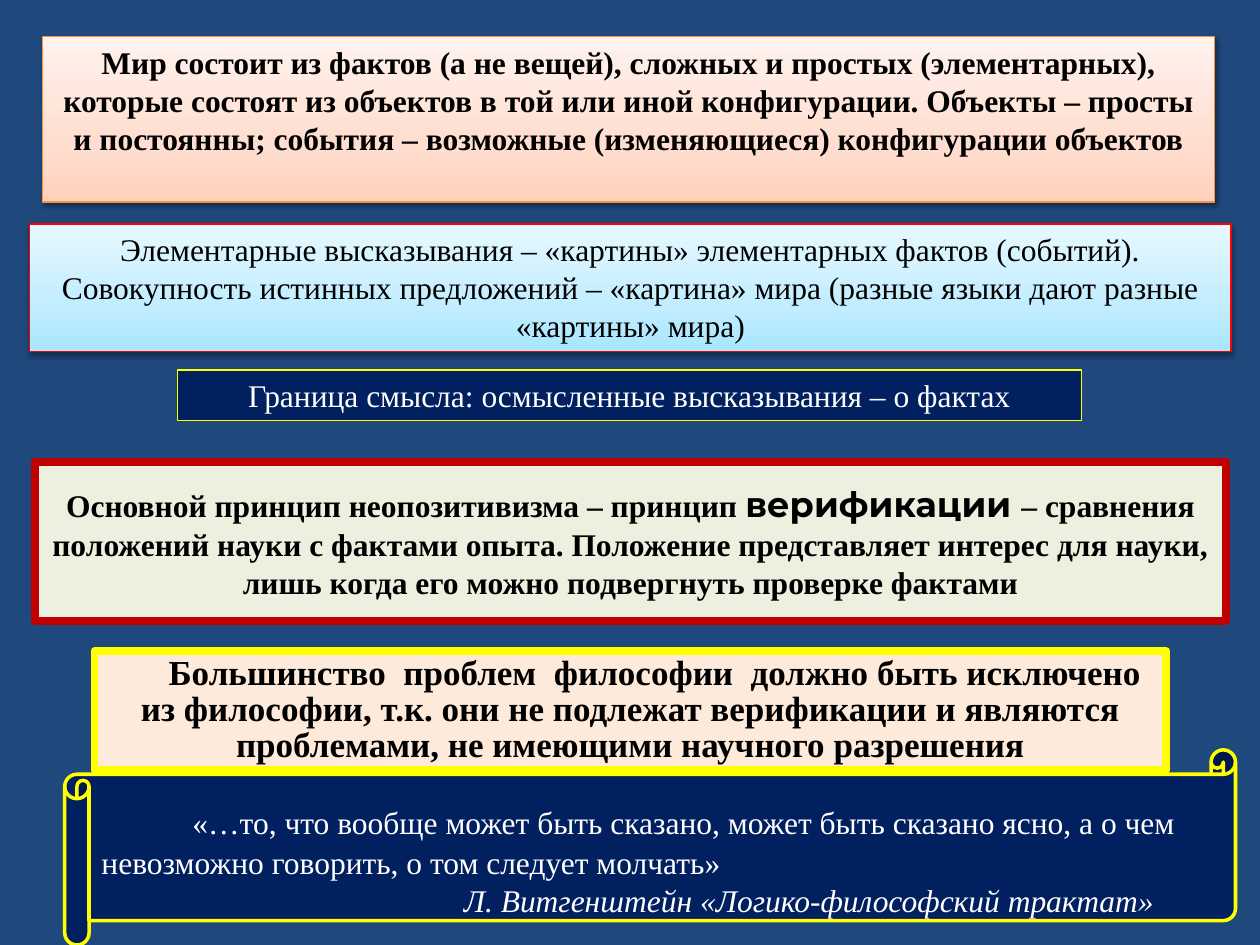
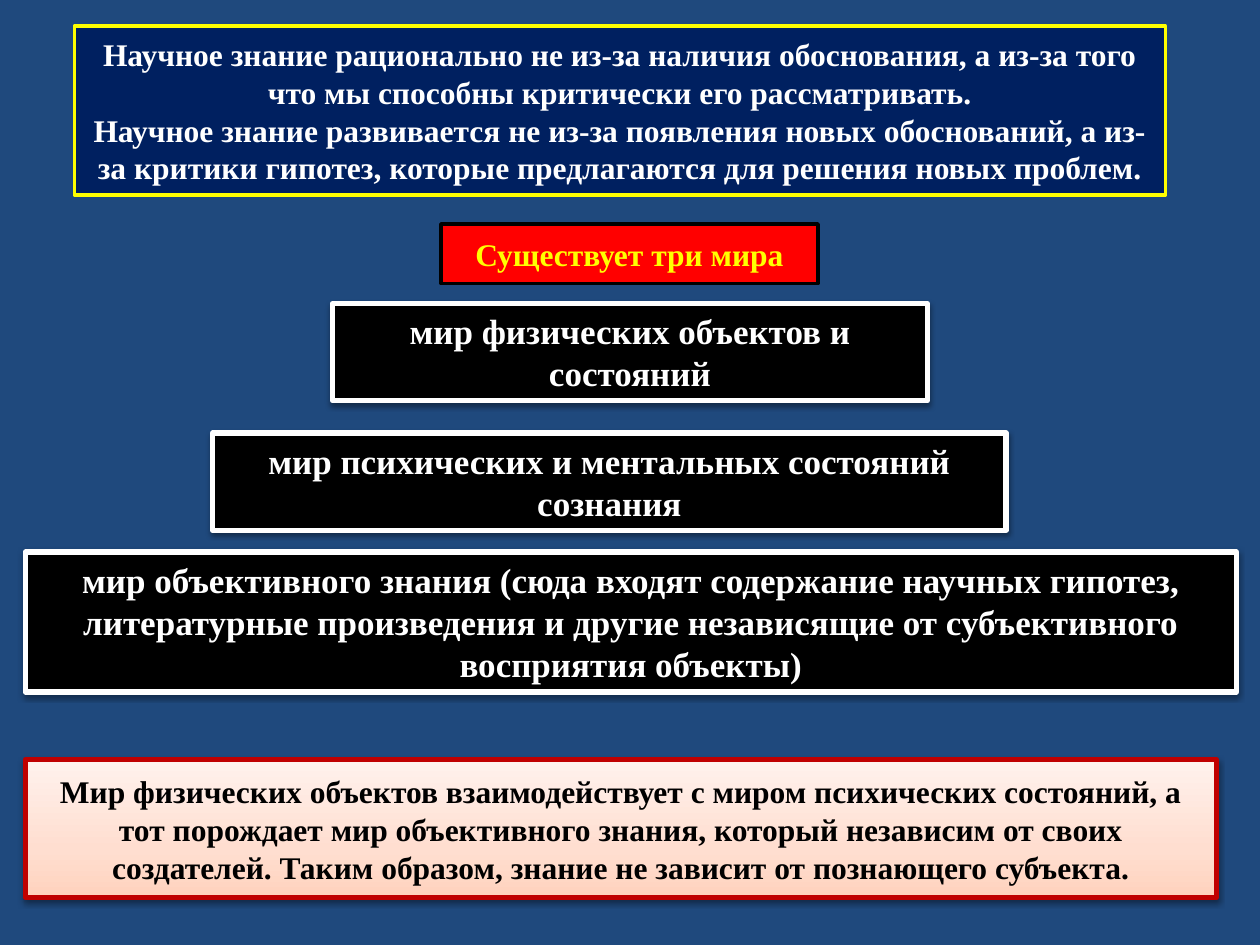
from collections import namedtuple

from lxml import etree
from pptx import Presentation
from pptx.dml.color import RGBColor
from pptx.enum.shapes import MSO_SHAPE as Preset
from pptx.enum.text import MSO_ANCHOR as Anchor, PP_ALIGN as Align
from pptx.oxml.ns import qn
from pptx.util import Pt

BACKDROP = RGBColor(0x1F, 0x49, 0x7D)
NAVY = RGBColor(0x00, 0x20, 0x60)
BLACK = RGBColor(0x00, 0x00, 0x00)
WHITE = RGBColor(0xFF, 0xFF, 0xFF)
YELLOW = RGBColor(0xFF, 0xFF, 0x00)
RED = RGBColor(0xFF, 0x00, 0x00)
CRIMSON = RGBColor(0xC0, 0x00, 0x00)
ORANGE = RGBColor(0xF6, 0x92, 0x40)
CREAM = RGBColor(0xFD, 0xEA, 0xDA)
PALE_GREEN = RGBColor(0xEB, 0xF1, 0xDE)
PEACH_FADE = (RGBColor(0xFF, 0xD2, 0xBD), RGBColor(0xFF, 0xDE, 0xD0), RGBColor(0xFF, 0xF2, 0xED))
SKY_FADE = (RGBColor(0xA7, 0xE6, 0xFF), RGBColor(0xC1, 0xED, 0xFF), RGBColor(0xE7, 0xF8, 0xFF))
FADE_STOPS = (0, 35, 100)

SERIF = "Times New Roman"
SANS = "Montserrat"
SLIDE_WIDTH, SLIDE_HEIGHT = 720, 540

Box = namedtuple("Box", "left top width height")


def child(parent, tag, **attributes):
    """Append an element with the given attributes to its parent."""
    return etree.SubElement(parent, qn(tag), {key: str(value) for key, value in attributes.items()})


def fade(shape, colors):
    """Fill a shape with three colours that run from its bottom to its top."""
    shape.fill.gradient()
    shape.fill.gradient_angle = 90
    stops = shape.element.spPr.find(qn("a:gradFill")).find(qn("a:gsLst"))
    for stop in list(stops):
        stops.remove(stop)
    for percent, color in zip(FADE_STOPS, colors):
        child(child(stops, "a:gs", pos=percent * 1000), "a:srgbClr", val=color)


def cast_shadow(shape):
    """Give a shape a soft shadow straight below it."""
    effects = shape.element.spPr.find(qn("a:effectLst"))
    shadow = child(effects, "a:outerShdw", blurRad=Pt(3.1), dist=Pt(1.6), dir=90 * 60000, rotWithShape=0)
    child(child(shadow, "a:srgbClr", val=BLACK), "a:alpha", val=38000)


def panel(slide, box, fill, edge, weight, shadow=False, preset=Preset.RECTANGLE):
    """Draw an outlined panel with a plain or three-colour fill."""
    shape = slide.shapes.add_shape(preset, *(Pt(length) for length in box))
    shape.shadow.inherit = False
    if isinstance(fill, RGBColor):
        shape.fill.solid()
        shape.fill.fore_color.rgb = fill
    else:
        fade(shape, fill)
    shape.line.color.rgb = edge
    shape.line.width = Pt(weight)
    if shadow:
        cast_shadow(shape)
    return shape


def write(shape, runs, first=True, size=18, color=BLACK, bold=False, italic=False, align=Align.CENTER,
          anchor=Anchor.TOP, indent=0, spacing=None, after=None):
    """Write one paragraph of (text, font, size) runs, or of plain text."""
    frame = shape.text_frame
    frame.word_wrap = True
    frame.vertical_anchor = anchor
    paragraph = frame.paragraphs[0] if first else frame.add_paragraph()
    paragraph.alignment = align
    if indent:
        paragraph._p.get_or_add_pPr().set("indent", str(Pt(indent)))
    if spacing:
        paragraph.line_spacing = spacing
    if after:
        paragraph.space_after = Pt(after)
    for text, face, points in [(runs, SERIF, size)] if isinstance(runs, str) else runs:
        run = paragraph.add_run()
        run.text = text
        font = run.font
        font.name, font.size, font.bold, font.italic = face, Pt(points), bold, italic
        font.color.rgb = color


def world_of_facts(slide, box):
    """Place the statements on facts, their images and the limit of sense."""
    left, top, width, _ = box
    facts = panel(slide, Box(left + 7.5, top, width - 17, 94.5), PEACH_FADE, ORANGE, 0.75, shadow=True)
    write(facts, "Мир состоит из фактов (а не вещей), сложных и простых (элементарных), которые состоят из "
          "объектов в той или иной конфигурации. Объекты – просты и постоянны; события – возможные "
          "(изменяющиеся) конфигурации объектов", bold=True)
    images = panel(slide, Box(left, top + 107, width, 73), SKY_FADE, RED, 0.75, shadow=True)
    write(images, "Элементарные высказывания – «картины» элементарных фактов (событий). Совокупность истинных "
          "предложений – «картина» мира (разные языки дают разные «картины» мира)")
    limit = panel(slide, Box(left + 84.5, top + 190.5, width - 170, 29), NAVY, YELLOW, 0.75)
    write(limit, "Граница смысла: осмысленные высказывания – о фактах", color=WHITE)


def verification(slide, box):
    """Place the principle of verification and its consequence."""
    left, top, width, height = box
    principle = panel(slide, Box(left, top, width, 91), PALE_GREEN, CRIMSON, 4.5, preset=Preset.FLOWCHART_PROCESS)
    write(principle, [
        ("Основной принцип неопозитивизма – принцип ", SERIF, 18),
        ("верификации ", SANS, 20),
        ("– сравнения положений науки с фактами опыта. Положение представляет интерес для науки, лишь когда "
         "его можно подвергнуть проверке фактами", SERIF, 18),
    ], bold=True, anchor=Anchor.MIDDLE)
    consequence = panel(slide, Box(left + 34, top + height - 68, width - 68, 68), CREAM, YELLOW, 4.5)
    write(consequence, "Большинство  проблем  философии  должно быть исключено из философии, т.к. они не подлежат "
          "верификации и являются проблемами, не имеющими научного разрешения",
          size=20, bold=True, anchor=Anchor.MIDDLE, indent=28, spacing=0.86, after=14)


def quotation(slide, box):
    """Place the scroll with the quotation and its author."""
    scroll = panel(slide, box, NAVY, YELLOW, 2, preset=Preset.HORIZONTAL_SCROLL)
    scroll.text_frame.margin_top = Pt(15)
    write(scroll, "«…то, что вообще может быть сказано, может быть сказано ясно, а о чем невозможно говорить, "
          "о том следует молчать»", color=WHITE, align=Align.LEFT, indent=52, spacing=1.06)
    write(scroll, "Л. Витгенштейн «Логико-философский трактат»", first=False, color=WHITE, italic=True,
          align=Align.LEFT, indent=207)


def critical_knowledge(slide, box):
    """Place the two statements on rational knowledge."""
    thesis = panel(slide, box, NAVY, YELLOW, 2)
    statements = (
        "Научное знание рационально не из-за наличия обоснования, а из-за того что мы способны критически его "
        "рассматривать.",
        "Научное знание развивается не из-за появления новых обоснований, а из-за критики гипотез, которые "
        "предлагаются для решения новых проблем.",
    )
    for number, statement in enumerate(statements):
        write(thesis, statement, first=number == 0, color=WHITE, bold=True, anchor=Anchor.MIDDLE)


def three_worlds(slide, box):
    """Place the heading and the widening panels of the three worlds."""
    left, top, width, _ = box
    heading = panel(slide, Box(left + 237.5, top, 215.5, 34), RED, BLACK, 2)
    write(heading, "Существует три мира", color=YELLOW, bold=True, anchor=Anchor.MIDDLE)
    worlds = (
        (Box(left + 175.5, top + 45.5, 340, 55.5), "мир физических объектов и состояний"),
        (Box(left + 107, top + 119.5, 453.5, 55.5), "мир психических и ментальных состояний сознания"),
        (Box(left, top + 187.5, width, 80), "мир объективного знания (сюда входят содержание научных гипотез, "
         "литературные произведения и другие независящие от субъективного восприятия объекты)"),
    )
    for place, world in worlds:
        write(panel(slide, place, BLACK, WHITE, 3, shadow=True), world, size=20, color=WHITE, bold=True)


def conclusion(slide, box):
    """Place the closing statement on how the worlds interact."""
    summary = panel(slide, box, PEACH_FADE, CRIMSON, 3, shadow=True)
    write(summary, "Мир физических объектов взаимодействует с миром психических состояний, а тот порождает мир "
          "объективного знания, который независим от своих создателей. Таким образом, знание не зависит от "
          "познающего субъекта.", bold=True, anchor=Anchor.MIDDLE)


def main():
    """Build both slides and save the presentation."""
    deck = Presentation()
    deck.slide_width, deck.slide_height = Pt(SLIDE_WIDTH), Pt(SLIDE_HEIGHT)
    backdrop = deck.slide_master.background.fill
    backdrop.solid()
    backdrop.fore_color.rgb = BACKDROP
    blank = deck.slide_layouts[6]

    neopositivism = deck.slides.add_slide(blank)
    world_of_facts(neopositivism, Box(17, 21, 686.5, 220))
    verification(neopositivism, Box(20, 264, 680.5, 176))
    quotation(neopositivism, Box(37, 428.5, 669, 111.5))

    rationalism = deck.slides.add_slide(blank)
    critical_knowledge(rationalism, Box(42.5, 15, 623.5, 96.5))
    three_worlds(rationalism, Box(14.5, 128, 692, 267.5))
    conclusion(rationalism, Box(14.5, 434, 680.5, 79))

    deck.save("out.pptx")


if __name__ == "__main__":
    main()
